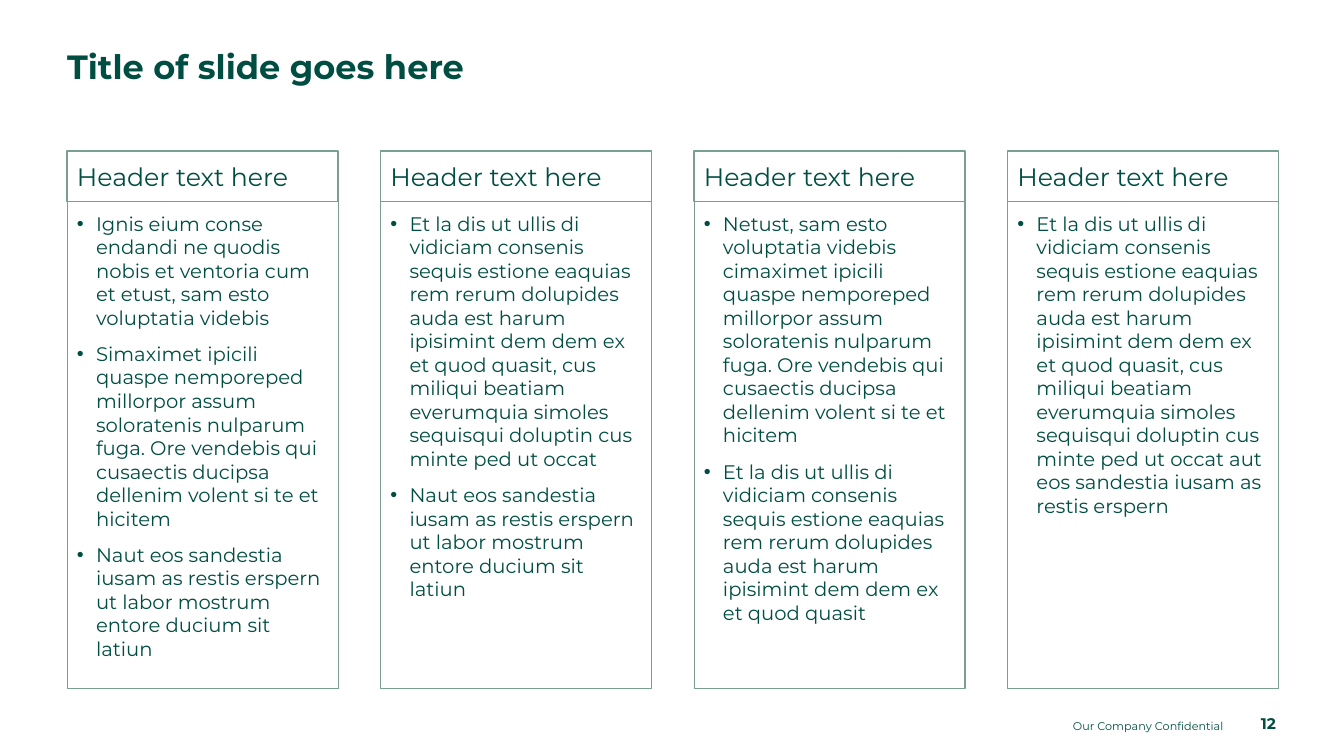
from lxml.etree import SubElement
from pptx import Presentation
from pptx.dml.color import RGBColor
from pptx.enum.shapes import MSO_SHAPE
from pptx.enum.text import MSO_ANCHOR, MSO_AUTO_SIZE, PP_ALIGN
from pptx.oxml.ns import qn
from pptx.util import Cm, Pt

GREEN = RGBColor(0x00, 0x4E, 0x42)
SAGE = RGBColor(0x78, 0x9F, 0x90)
WHITE = RGBColor(0xFF, 0xFF, 0xFF)

# Column grid
LEFT, PITCH, WIDTH = 1.69, 7.9, 6.83
HEADER_TOP, HEADER_HEIGHT = 3.81, 1.27
LIST_TOP, LIST_HEIGHT = 5.08, 12.27
HEADER = "Header text here"

# List items, one group for each column
COLUMNS = [
    [
        "Ignis eium conse endandi ne quodis nobis et ventoria cum et etust, "
        "sam esto voluptatia videbis",
        "Simaximet ipicili quaspe nemporeped millorpor assum soloratenis "
        "nulparum fuga. Ore vendebis qui cusaectis ducipsa dellenim volent "
        "si te et hicitem",
        "Naut eos sandestia iusam as restis erspern ut labor mostrum entore "
        "ducium sit latiun",
    ],
    [
        "Et la dis ut ullis di vidiciam consenis sequis estione eaquias rem "
        "rerum dolupides auda est harum ipisimint dem dem ex et quod quasit, "
        "cus miliqui beatiam everumquia simoles sequisqui doluptin cus minte "
        "ped ut occat",
        "Naut eos sandestia iusam as restis erspern ut labor mostrum entore "
        "ducium sit latiun",
    ],
    [
        "Netust, sam esto voluptatia videbis cimaximet ipicili quaspe "
        "nemporeped millorpor assum soloratenis nulparum fuga. Ore vendebis "
        "qui cusaectis ducipsa dellenim volent si te et hicitem",
        "Et la dis ut ullis di vidiciam consenis sequis estione eaquias rem "
        "rerum dolupides auda est harum ipisimint dem dem ex et quod quasit",
    ],
    [
        "Et la dis ut ullis di vidiciam consenis sequis estione eaquias rem "
        "rerum dolupides auda est harum ipisimint dem dem ex et quod quasit, "
        "cus miliqui beatiam everumquia simoles sequisqui doluptin cus minte "
        "ped ut occat aut eos sandestia iusam as restis erspern",
    ],
]


def apply(target, **values):
    for name, value in values.items():
        setattr(target, name, value)


def place(shape, left, top, width, height):
    apply(shape, left=Cm(left), top=Cm(top), width=Cm(width), height=Cm(height))


def outline(shape, weight):
    shape.fill.solid()
    shape.fill.fore_color.rgb = WHITE
    shape.line.color.rgb = SAGE
    shape.line.width = Pt(weight)


def format_frame(frame, anchor, left=0, top=0, right=0):
    apply(frame, word_wrap=True, auto_size=MSO_AUTO_SIZE.NONE,
          vertical_anchor=anchor, margin_left=Cm(left), margin_top=Cm(top),
          margin_right=Cm(right), margin_bottom=0)


def format_para(para, size, bold=False, align=PP_ALIGN.LEFT, spacing=1.0, before=0):
    apply(para, alignment=align, line_spacing=spacing,
          space_before=Pt(before), space_after=Pt(0))
    for span in para.runs:
        apply(span.font, name="Montserrat", size=Pt(size), bold=bold)
        span.font.color.rgb = GREEN


def add_bullet(para):
    props = para._p.get_or_add_pPr()
    props.set("marL", str(Cm(0.48)))
    props.set("indent", str(-Cm(0.48)))
    colour = SubElement(props, qn("a:buClr"))
    SubElement(colour, qn("a:srgbClr"), val=str(GREEN))
    SubElement(props, qn("a:buFont"), typeface="Arial")
    SubElement(props, qn("a:buChar"), char="•")


def fill_title(title, text):
    place(title, LEFT, 1.27, 30.48, 1.9)
    title.text_frame.text = text
    format_frame(title.text_frame, MSO_ANCHOR.TOP)
    format_para(title.text_frame.paragraphs[0], 24, bold=True, spacing=0.9)


def add_header(page, left, text):
    box = page.shapes.add_shape(MSO_SHAPE.RECTANGLE, 0, 0, 0, 0)
    place(box, left, HEADER_TOP, WIDTH, HEADER_HEIGHT)
    box.shadow.inherit = False
    outline(box, 1)
    box.text_frame.text = text
    format_frame(box.text_frame, MSO_ANCHOR.MIDDLE, left=0.25)
    format_para(box.text_frame.paragraphs[0], 18)


def fill_list(body, left, items):
    place(body, left, LIST_TOP, WIDTH, LIST_HEIGHT)
    outline(body, 0.75)
    frame = body.text_frame
    frame.text = "\n".join(items)
    format_frame(frame, MSO_ANCHOR.TOP, 0.25, 0.25, 0.25)
    for index, para in enumerate(frame.paragraphs):
        add_bullet(para)
        format_para(para, 14, before=9 if index else 0)


def add_footer(page, left, width, text, size, bold=False):
    box = page.shapes.add_textbox(0, 0, 0, 0)
    place(box, left, 18.03, width, 0.43)
    box.text_frame.text = text
    format_frame(box.text_frame, MSO_ANCHOR.BOTTOM)
    format_para(box.text_frame.paragraphs[0], size, bold, PP_ALIGN.RIGHT)


def main():
    deck = Presentation()
    apply(deck, slide_width=Cm(33.87), slide_height=Cm(19.05))

    # The comparison layout has a title and four body placeholders
    page = deck.slides.add_slide(deck.slide_layouts[4])
    title, *bodies = page.placeholders
    fill_title(title, "Title of slide goes here")

    # Columns
    for index, (body, items) in enumerate(zip(bodies, COLUMNS)):
        left = LEFT + index * PITCH
        add_header(page, left, HEADER)
        fill_list(body, left, items)

    # Footer
    add_footer(page, 16.97, 13.87, "Our Company Confidential", 8)
    add_footer(page, 30.86, 1.3, "12", 11, bold=True)

    deck.save("out.pptx")


if __name__ == "__main__":
    main()
